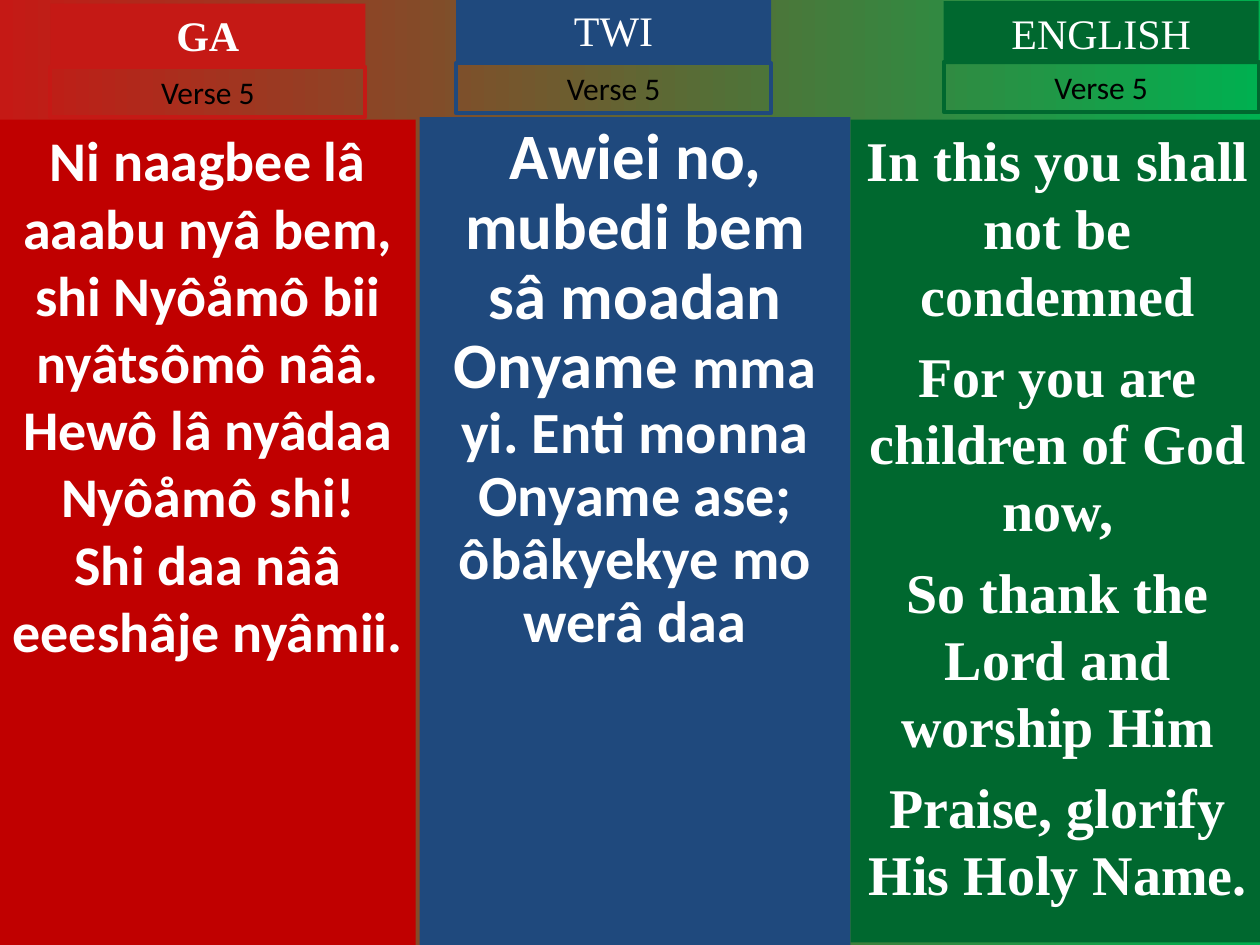
"""Build a hymn slide with verse 5 in Ga, Twi and English columns."""
from pptx import Presentation
from pptx.dml.color import RGBColor as Color
from pptx.enum.shapes import MSO_SHAPE as Shape
from pptx.enum.text import MSO_ANCHOR as Anchor, MSO_AUTO_SIZE as AutoSize, PP_ALIGN as Align
from pptx.util import Pt

COLORS = {
    "red": "C51915",
    "deep_red": "C00000",
    "blue": "1F497D",
    "green": "00682F",
    "bright_green": "00B050",
    "white": "FFFFFF",
    "black": "000000",
}
SERIF, SANS = "Times New Roman", "Calibri"

deck = Presentation()
deck.slide_width, deck.slide_height = Pt(720), Pt(540)
page = deck.slides.add_slide(deck.slide_layouts[6])

backdrop = page.background.fill
backdrop.gradient()
backdrop.gradient_angle = 0
for stop, name in zip(backdrop.gradient_stops, ("red", "bright_green")):
    stop.color.rgb = Color.from_string(COLORS[name])


def add_text_box(paragraphs, *, at, size, font, color="white", bold=False,
                 fill=None, line=None, grow=False, spacing=None, gap=0):
    """Add a rectangle of centred paragraphs, each a list of (text, size) or a string."""
    box = page.shapes.add_shape(Shape.RECTANGLE, *(Pt(length) for length in at))
    box.shadow.inherit = False
    if fill:
        box.fill.solid()
        box.fill.fore_color.rgb = Color.from_string(COLORS[fill])
    else:
        box.fill.background()
    if line:
        box.line.color.rgb = Color.from_string(COLORS[line])
        box.line.width = Pt(2.25)
    else:
        box.line.fill.background()
    frame = box.text_frame
    frame.word_wrap = True
    frame.vertical_anchor = Anchor.TOP
    frame.auto_size = AutoSize.SHAPE_TO_FIT_TEXT if grow else AutoSize.NONE
    for index, content in enumerate(paragraphs):
        para = frame.add_paragraph() if index else frame.paragraphs[0]
        para.alignment = Align.CENTER
        para.space_before = Pt(gap if index else 0)
        if spacing:
            para.line_spacing = spacing
        for text, points in [(content, size)] if isinstance(content, str) else content:
            span = para.add_run()
            span.text = text
            span.font.size = Pt(points)
            span.font.name = font
            span.font.bold = bold
            span.font.color.rgb = Color.from_string(COLORS[color])


ga_verse = [
    "Ni naagbee lâ aaabu nyâ bem,",
    "shi Nyôåmô bii nyâtsômô nââ.",
    "Hewô lâ nyâdaa Nyôåmô shi!",
    "Shi daa nââ eeeshâje nyâmii.",
]
twi_verse = [
    [("Awiei no, mubedi bem sâ moadan Onyame ", 37), ("mma yi. Enti monna Onyame ase;", 33.3)],
    "ôbâkyekye mo werâ daa",
]
english_verse = [
    "In this you shall not be condemned",
    "For you are children of God now,",
    "So thank the Lord and worship Him",
    "Praise, glorify His Holy Name.",
]

add_text_box(ga_verse, at=(0, 68.4, 237.6, 471.6), size=32, font=SANS, bold=True, fill="deep_red")
add_text_box(twi_verse, at=(239.76, 66.96, 246.24, 473.04), size=33.3, font=SANS, bold=True,
             fill="blue", spacing=0.9)
add_text_box(english_verse, at=(486, 68.4, 236.88, 470.16), size=32, font=SERIF, bold=True,
             fill="green", gap=8)

headings = [
    ("GA", "red", 28.8, 2.16, 38.16, True),
    ("TWI", "blue", 260.64, -0.72, 36, False),
    ("ENGLISH", "green", 539.28, 0.72, 35.28, False),
]
for language, color, left, title_top, verse_top, bold in headings:
    add_text_box([language], at=(left, title_top, 180, 36), size=24, font=SERIF, bold=bold,
                 fill=color, grow=True)
    add_text_box(["Verse 5"], at=(left, verse_top, 180, 28.8), size=18, font=SANS, color="black",
                 line=color, grow=True)

deck.save("out.pptx")
